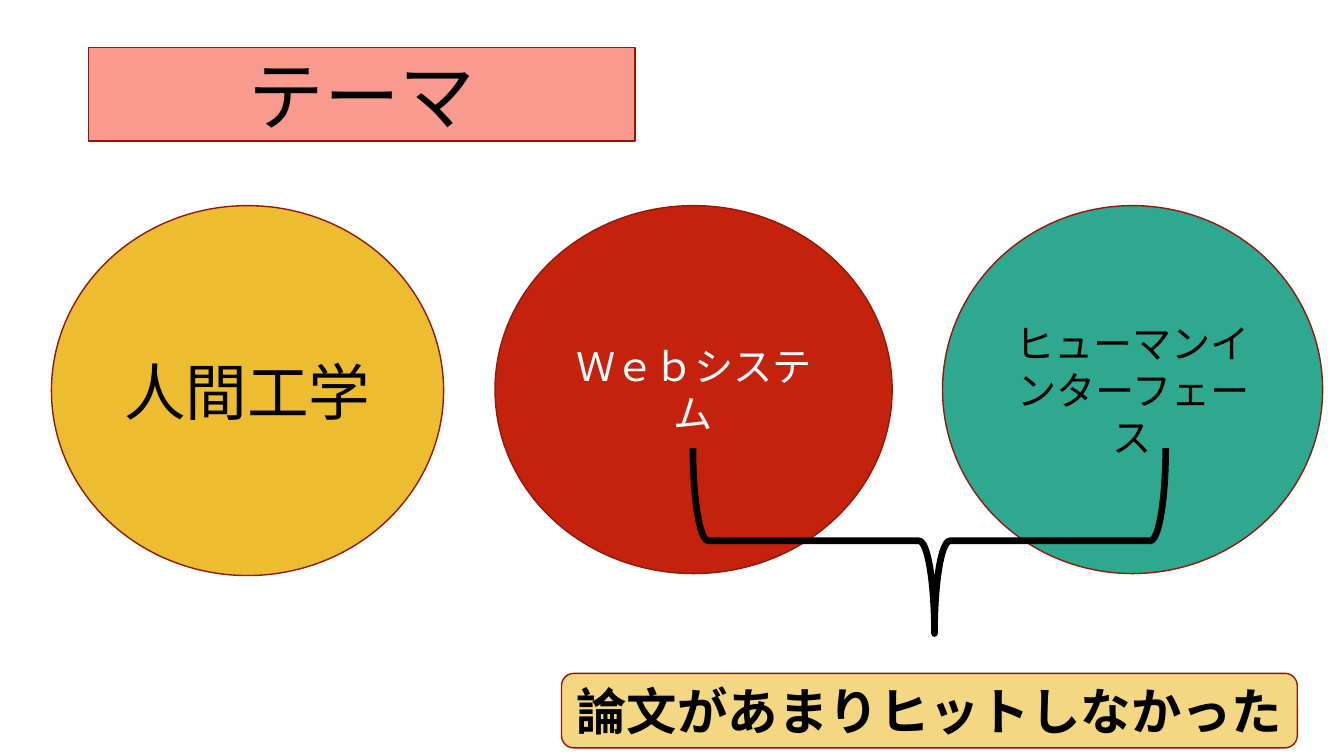
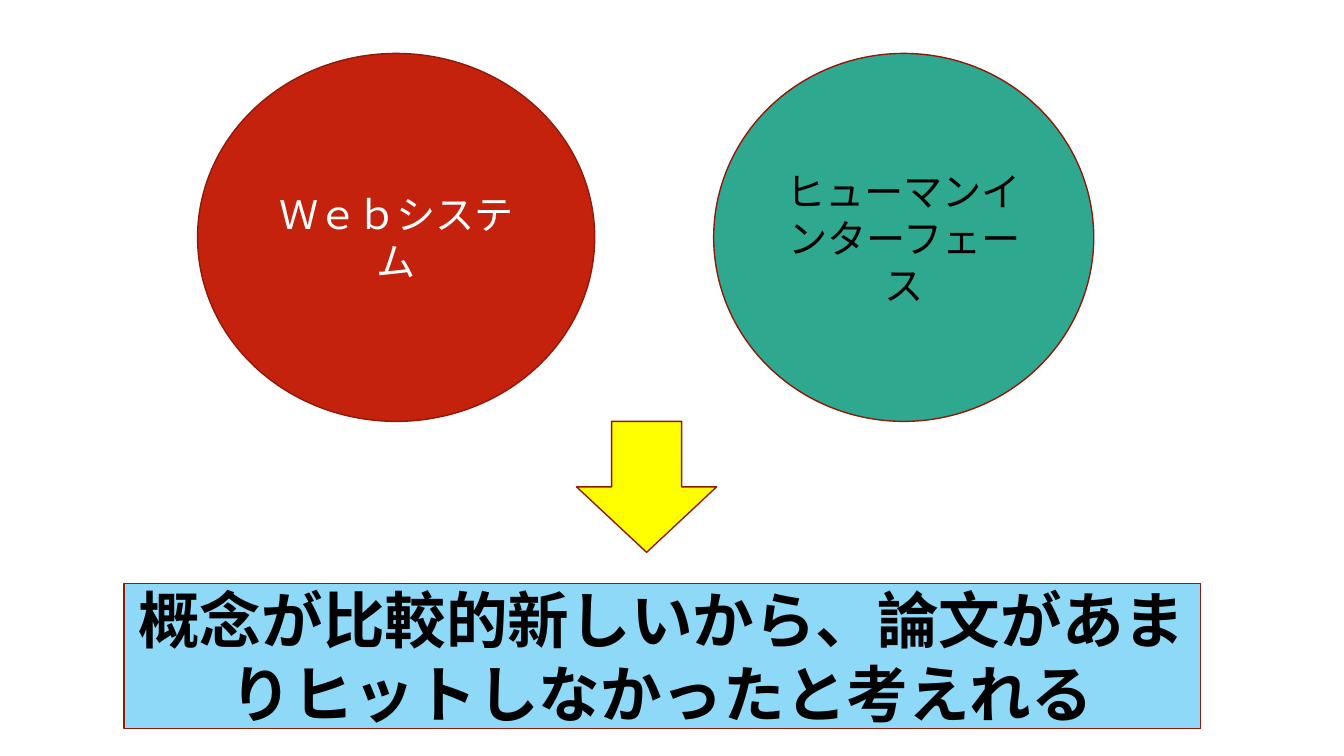
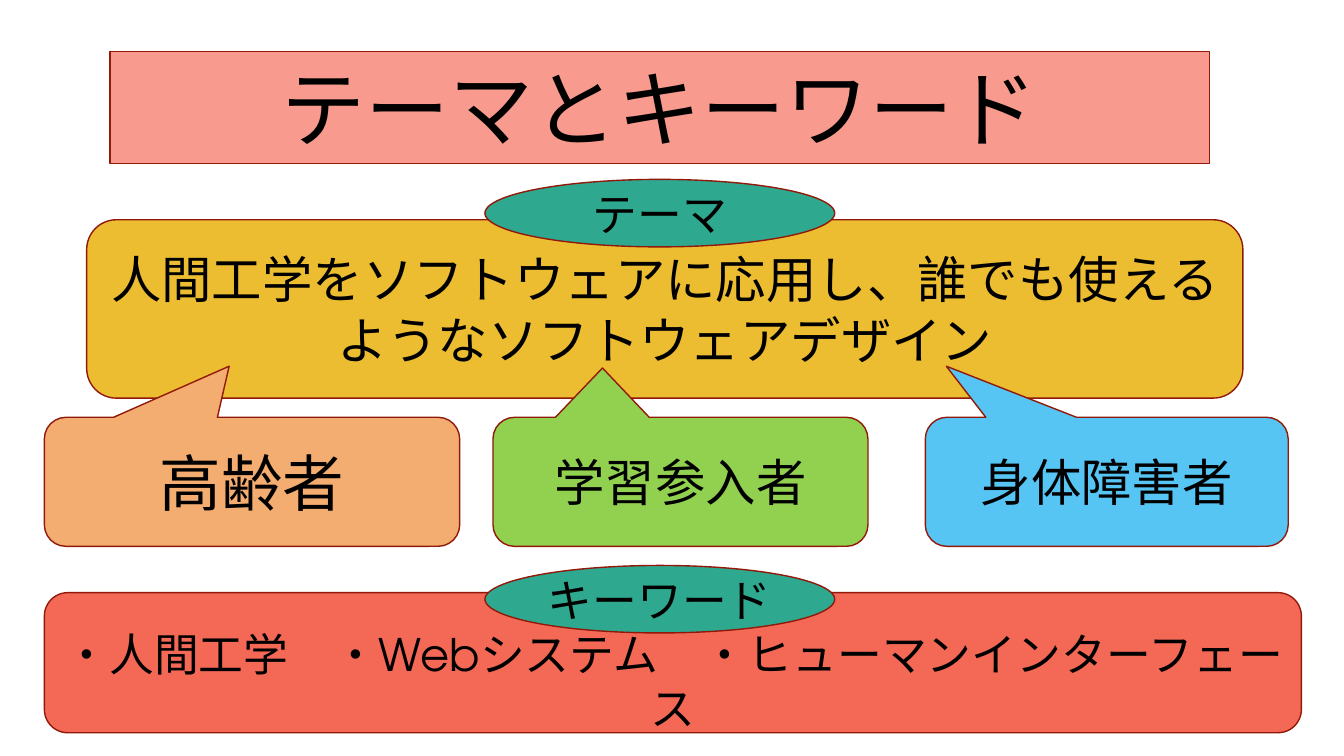
from dataclasses import dataclass
from lxml import etree
from pptx import Presentation
from pptx import util as u
from pptx.dml.color import RGBColor
from pptx.enum import shapes, text
from pptx.oxml.ns import qn

KIND = shapes.MSO_SHAPE


@dataclass(frozen=True)
class Theme:
    font: str = "TeX Gyre Adventor"
    outline: str = "91190A"
    ink: str = "000000"
    white: str = "FFFFFF"
    pink: str = "F89A8E"
    gold: str = "ECBD31"
    pale_gold: str = "F4D783"
    red: str = "C4220D"
    coral: str = "F46856"
    teal: str = "2EA98F"
    yellow: str = "FFFF00"
    pale_blue: str = "8ED8F8"
    blue: str = "56C5F4"
    orange: str = "F4AD70"
    green: str = "92D050"
    thin: float = 1
    thick: float = 4.75
    small: int = 28
    label: int = 32
    body: int = 36
    large: int = 44
    title: int = 54
    headline: int = 60


THEME = Theme()
WIDTH, HEIGHT = u.Inches(13.333), u.Inches(7.5)

# Places are left, top, width, height in percent of the slide's size.
WEB = dict(kind=KIND.OVAL, words="Ｗｅｂシステム", fill=THEME.red,
           size=THEME.small, color=THEME.white)
INTERFACE = dict(kind=KIND.OVAL, words="ヒューマンインターフェース",
                 fill=THEME.teal, size=THEME.small)
WEB_SIZE, INTERFACE_SIZE = (29.55, 48.67), (28.28, 48.67)

CIRCLE_TOP = 27.2
CALLOUT_TOP, CALLOUT_HEIGHT = 55.2, 17.07
CALLOUTS = [
    # words, fill, size, left, width, pointer
    ("高齢者", THEME.orange, THEME.large, 3.3, 30.9, (-0.055, -0.896)),
    ("学習参入者", THEME.green, THEME.body, 36.68, 27.9, (-0.208, -0.882)),
    ("身体障害者", THEME.blue, THEME.body, 68.85, 27, (-0.442, -0.896)),
]
LABELS = [("キーワード", 74.8), ("テーマ", 23.73)]

SLIDES = [
    dict(
        title=dict(words="テーマ", place=(6.6, 6.27, 40.65, 12.4),
                   size=THEME.title, outline="roundRect"),
        parts=[
            dict(kind=KIND.OVAL, words="人間工学", fill=THEME.gold,
                 size=THEME.large, place=(3.83, CIRCLE_TOP, 29.18, 48.93)),
            dict(WEB, place=(36.83, CIRCLE_TOP, *WEB_SIZE)),
            dict(INTERFACE, place=(70.13, CIRCLE_TOP, *INTERFACE_SIZE)),
            dict(kind=KIND.LEFT_BRACE, place=(62.25, 40.27, 13.8, 62.53),
                 line=THEME.ink, weight=THEME.thick, rotation=270,
                 adjust=(0.083, 0.511)),
            dict(kind=KIND.ROUNDED_RECTANGLE, fill=THEME.pale_gold,
                 words="論文があまりヒットしなかった", size=THEME.body,
                 bold=True, place=(41.78, 89.07, 54.75, 9.87)),
        ],
    ),
    dict(
        parts=[
            dict(WEB, place=(14.7, 7.07, *WEB_SIZE)),
            dict(INTERFACE, place=(53.1, 7.07, *INTERFACE_SIZE)),
            dict(kind=KIND.DOWN_ARROW, fill=THEME.yellow,
                 place=(42.9, 55.73, 10.43, 17.33)),
            dict(kind=KIND.RECTANGLE, fill=THEME.pale_blue,
                 words="概念が比較的新しいから、論文があまりヒットしなかったと考えれる",
                 size=THEME.large, bold=True, place=(9.23, 77.2, 80.1, 19.2)),
        ],
    ),
    dict(
        title=dict(words="テーマとキーワード", place=(8.18, 6.8, 81.83, 14.8),
                   size=THEME.headline, outline="flowChartAlternateProcess"),
        parts=[
            dict(kind=KIND.FLOWCHART_ALTERNATE_PROCESS, fill=THEME.gold,
                 words="人間工学をソフトウェアに応用し、誰でも使えるようなソフトウェアデザイン",
                 size=THEME.body, place=(6.45, 29.07, 86.03, 23.6)),
            *[dict(kind=KIND.ROUNDED_RECTANGULAR_CALLOUT, words=words,
                   fill=fill, size=size, adjust=(*pointer, 0.167),
                   place=(left, CALLOUT_TOP, width, CALLOUT_HEIGHT))
              for words, fill, size, left, width, pointer in CALLOUTS],
            dict(kind=KIND.ROUNDED_RECTANGLE, fill=THEME.coral,
                 words="・人間工学　・Webシステム　・ヒューマンインターフェース",
                 size=THEME.label, margin_top=0.4,
                 place=(3.3, 78.4, 93.53, 18.53)),
            *[dict(kind=KIND.OVAL, words=words, fill=THEME.teal,
                   size=THEME.label, place=(36.08, top, 26.03, 8.93))
              for words, top in LABELS],
        ],
    ),
]


def frame(place):
    """Turn percentages of the slide into lengths."""
    spans = (WIDTH, HEIGHT, WIDTH, HEIGHT)
    return [u.Emu(round(span * share / 100)) for span, share in zip(spans, place)]


def paint(shape, fill=None, line=THEME.outline, weight=THEME.thin):
    if fill:
        shape.fill.solid()
        shape.fill.fore_color.rgb = RGBColor.from_string(fill)
    else:
        shape.fill.background()
    shape.line.color.rgb = RGBColor.from_string(line)
    shape.line.width = u.Pt(weight)


def write(shape, words, size, color=THEME.ink, bold=False, margin_top=0.05):
    box = shape.text_frame
    settings = dict(word_wrap=True, auto_size=text.MSO_AUTO_SIZE.NONE,
                    vertical_anchor=text.MSO_ANCHOR.MIDDLE,
                    margin_top=u.Inches(margin_top))
    for name, value in settings.items():
        setattr(box, name, value)
    para = box.paragraphs[0]
    para.alignment = text.PP_ALIGN.CENTER
    span = para.add_run()
    span.text = words
    for name, value in dict(name=THEME.font, size=u.Pt(size), bold=bold).items():
        setattr(span.font, name, value)
    span.font.color.rgb = RGBColor.from_string(color)


def add_title(page, words, place, size, outline):
    title = page.shapes.title
    title.left, title.top, title.width, title.height = frame(place)
    geometry = etree.SubElement(title.element.spPr, qn("a:prstGeom"), prst=outline)
    etree.SubElement(geometry, qn("a:avLst"))
    paint(title, THEME.pink)
    write(title, words, size)


def add_part(page, kind, place, words=None, fill=None, line=THEME.outline,
             weight=THEME.thin, rotation=0, adjust=(), **style):
    shape = page.shapes.add_shape(kind, *frame(place))
    shape.shadow.inherit = False
    shape.rotation = rotation
    for index, value in enumerate(adjust):
        shape.adjustments[index] = value
    paint(shape, fill, line, weight)
    if words:
        write(shape, words, **style)


def main():
    deck = Presentation()
    deck.slide_width, deck.slide_height = WIDTH, HEIGHT
    title_only, blank = deck.slide_layouts[5], deck.slide_layouts[6]
    for content in SLIDES:
        title = content.get("title")
        page = deck.slides.add_slide(title_only if title else blank)
        if title:
            add_title(page, **title)
        for part in content["parts"]:
            add_part(page, **part)
    deck.save("out.pptx")


if __name__ == "__main__":
    main()
